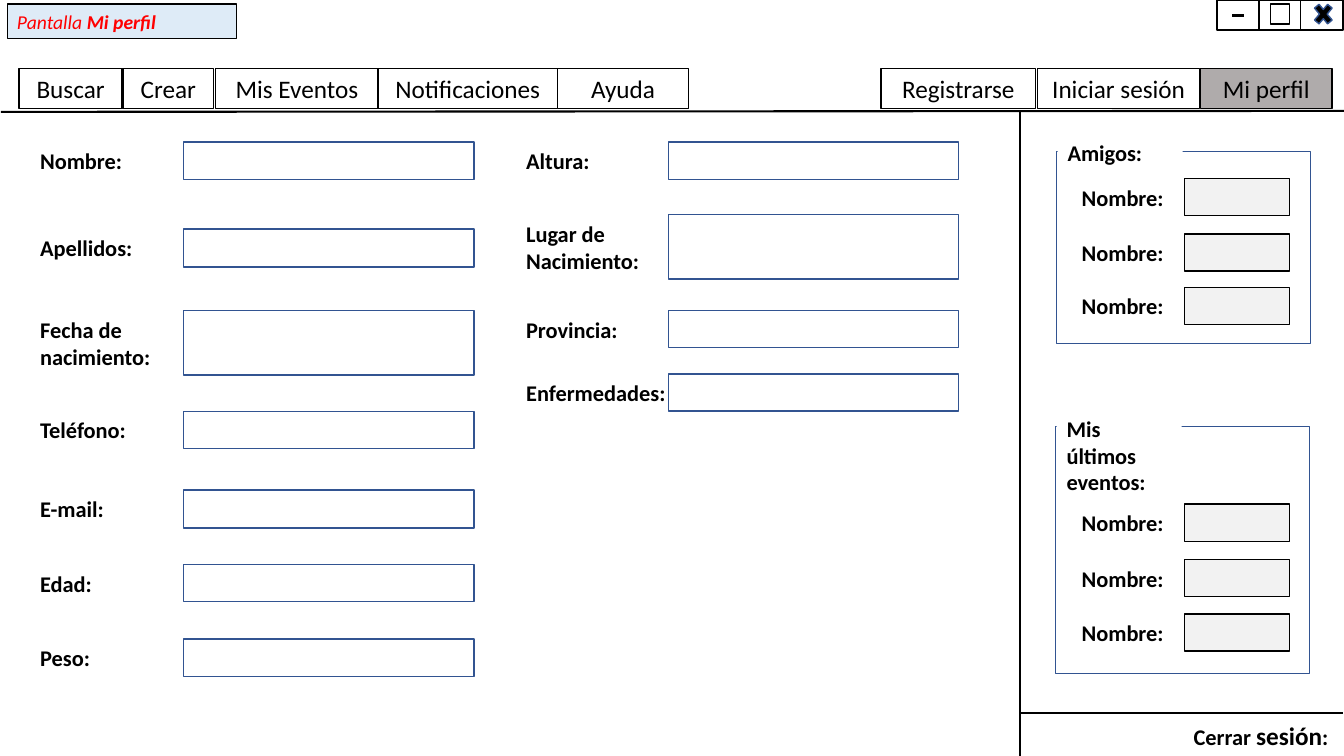
from lxml.etree import SubElement
from pptx import Presentation
from pptx.dml.color import RGBColor
from pptx.enum.shapes import MSO_CONNECTOR, MSO_SHAPE
from pptx.enum.text import MSO_ANCHOR, PP_ALIGN
from pptx.oxml.ns import qn
from pptx.util import Inches, Pt

BLACK = RGBColor(0x00, 0x00, 0x00)
WHITE = RGBColor(0xFF, 0xFF, 0xFF)
RED = RGBColor(0xFF, 0x00, 0x00)
BLUE = RGBColor(0x32, 0x54, 0x91)
PALE_BLUE = RGBColor(0xDE, 0xEB, 0xF7)
PALE_GRAY = RGBColor(0xF2, 0xF2, 0xF2)
GRAY = RGBColor(0xAF, 0xAB, 0xAB)

MENU = [
    ("Buscar", 0.19, 1.02, WHITE),
    ("Crear", 1.22, 0.9, WHITE),
    ("Mis Eventos", 2.14, 1.61, WHITE),
    ("Notificaciones", 3.75, 1.78, WHITE),
    ("Ayuda", 5.53, 1.3, WHITE),
    ("Registrarse", 8.74, 1.53, WHITE),
    ("Iniciar sesión", 10.29, 1.61, WHITE),
    ("Mi perfil", 11.91, 1.3, GRAY),
]
FORM_COLUMNS = [
    (0.3, 1.82, [
        ("Nombre:", 1.41, 0.37),
        ("Apellidos:", 2.27, 0.38),
        ("Fecha de nacimiento:", 3.08, 0.64),
        ("Teléfono:", 4.08, 0.37),
        ("E-mail:", 4.86, 0.38),
        ("Edad:", 5.6, 0.37),
        ("Peso:", 6.34, 0.37),
    ]),
    (5.12, 6.63, [
        ("Altura:", 1.41, 0.37),
        ("Lugar de Nacimiento:", 2.13, 0.64),
        ("Provincia:", 3.08, 0.37),
        ("Enfermedades:", 3.71, 0.37),
    ]),
]
PANELS = [
    ("Amigos:", 10.48, 1.5, 1.91, 0.37, [1.77, 2.32, 2.85]),
    ("Mis últimos eventos:", 10.47, 4.23, 2.45, 0.91, [5, 5.55, 6.09]),
]


def write_text(shape, *runs, size=16, color=BLACK, bold=False, italic=False,
               align=PP_ALIGN.LEFT):
    frame = shape.text_frame
    frame.word_wrap = True
    frame.vertical_anchor = MSO_ANCHOR.MIDDLE
    paragraph = frame.paragraphs[0]
    paragraph.alignment = align
    for text, changes in runs:
        style = {"size": size, "bold": bold, **changes}
        run = paragraph.add_run()
        run.text = text
        run.font.name = "Calibri"
        run.font.size = Pt(style["size"])
        run.font.bold = style["bold"]
        run.font.italic = italic
        run.font.color.rgb = color


class Screen:
    def __init__(self, slide, label_size=16, menu_size=18):
        self.slide = slide
        self.label_size = label_size
        self.menu_size = menu_size

    def box(self, left, top, width, height, fill=None, line=BLACK, weight=1,
            kind=MSO_SHAPE.RECTANGLE):
        shape = self.slide.shapes.add_shape(
            kind, Inches(left), Inches(top), Inches(width), Inches(height))
        shape.shadow.inherit = False
        if fill is None:
            shape.fill.background()
        else:
            shape.fill.solid()
            shape.fill.fore_color.rgb = fill
        if line is None:
            shape.line.fill.background()
        else:
            shape.line.color.rgb = line
            shape.line.width = Pt(weight)
        return shape

    def label(self, text, left, top, width, height):
        shape = self.slide.shapes.add_textbox(
            Inches(left), Inches(top), Inches(width), Inches(height))
        write_text(shape, (text, {}), size=self.label_size, bold=True)

    def line(self, start_x, start_y, end_x, end_y, weight=1.5):
        connector = self.slide.shapes.add_connector(
            MSO_CONNECTOR.STRAIGHT, Inches(start_x), Inches(start_y),
            Inches(end_x), Inches(end_y))
        connector.line.color.rgb = BLACK
        connector.line.width = Pt(weight)
        SubElement(connector._element.spPr, qn("a:effectLst"))

    def menu_button(self, text, left, width, fill):
        shape = self.box(left, 0.68, width, 0.4, fill)
        write_text(shape, (text, {}), size=self.menu_size,
                   align=PP_ALIGN.CENTER)

    def form_column(self, label_left, field_left, rows):
        for text, top, height in rows:
            width = 1.62 if text == "Enfermedades:" else 1.43
            self.box(field_left, top, 2.88, height, line=BLUE)
            self.label(text, label_left, top, width, height)

    def panel(self, title, left, top, height, title_height, rows):
        self.box(left, top, 2.52, height, line=BLUE)
        heading = self.box(left + 0.01, top - 0.17, 1.24, title_height,
                           WHITE, None)
        write_text(heading, (title, {}), size=self.label_size, bold=True)
        for row_top in rows:
            self.label("Nombre:", 10.63, row_top, 1.04, 0.37)
            self.box(11.75, row_top, 1.04, 0.37, PALE_GRAY)

    def window_controls(self):
        for index in range(3):
            self.box(12.07 + index * 0.415, 0, 0.42, 0.3, WHITE)
        self.line(12.22, 0.15, 12.34, 0.15, 2.25)
        self.box(12.6, 0.04, 0.19, 0.2)
        self.box(13, -0.01, 0.25, 0.3, BLACK, BLUE,
                 kind=MSO_SHAPE.MATH_MULTIPLY)


def main():
    presentation = Presentation()
    presentation.slide_width = Inches(13.33)
    presentation.slide_height = Inches(7.5)
    screen = Screen(presentation.slides.add_slide(presentation.slide_layouts[6]))

    screen.line(0.01, 1.11, 13.33, 1.1)
    screen.line(10.12, 1.1, 10.12, 7.5)
    for button in MENU:
        screen.menu_button(*button)
    for column in FORM_COLUMNS:
        screen.form_column(*column)
    for panel in PANELS:
        screen.panel(*panel)
    screen.window_controls()

    screen_name = screen.box(0.07, 0.04, 2.28, 0.34, PALE_BLUE, weight=0.75)
    write_text(screen_name, ("Pantalla", {}), (" Mi perfil", {"bold": True}),
               size=14, color=RED, italic=True)
    sign_out = screen.box(11.74, 7.1, 1.59, 0.4, WHITE, None)
    write_text(sign_out, ("Cerrar ", {}), ("sesión", {"size": 18}), (":", {}),
               bold=True)
    screen.line(10.12, 7.07, 13.32, 7.07)

    presentation.save("out.pptx")


if __name__ == "__main__":
    main()
